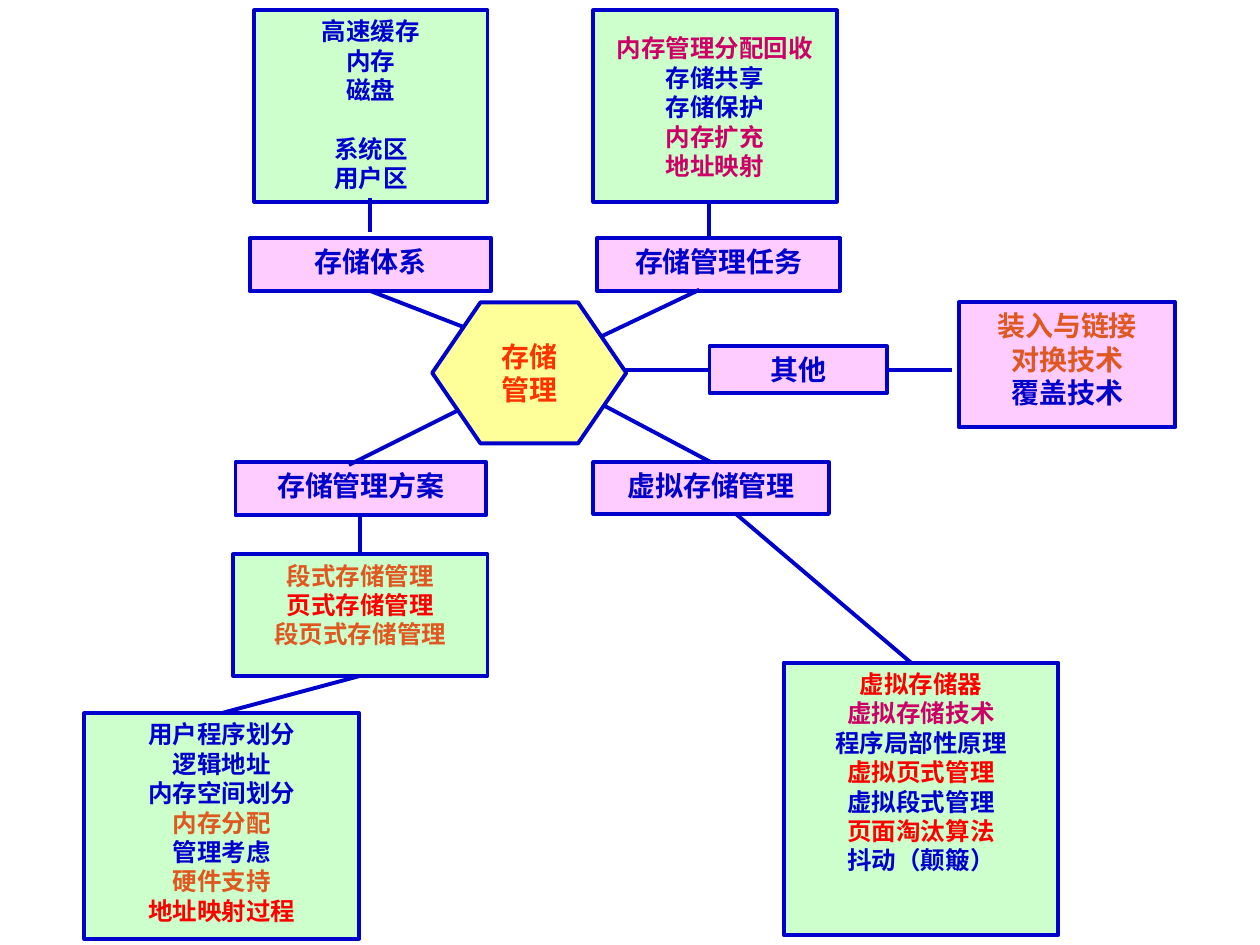
"""Build a mind map slide about storage management in operating systems."""
import pptx
import pptx.dml.color
import pptx.enum.shapes
import pptx.enum.text
import pptx.oxml
import pptx.util

Pt = pptx.util.Pt
RGBColor = pptx.dml.color.RGBColor
SHAPES = pptx.enum.shapes.MSO_SHAPE
ANCHORS = pptx.enum.text.MSO_ANCHOR

BLUE = RGBColor(0x00, 0x00, 0xCC)
RED = RGBColor(0xFF, 0x00, 0x00)
ORANGE = RGBColor(0xDF, 0x57, 0x21)
MAGENTA = RGBColor(0xCC, 0x00, 0x66)
SCARLET = RGBColor(0xFF, 0x33, 0x00)
GREEN_FILL = RGBColor(0xCC, 0xFF, 0xCC)
PINK_FILL = RGBColor(0xFF, 0xCC, 0xFF)
YELLOW_FILL = RGBColor(0xFF, 0xFF, 0x99)
LINE_WIDTH = Pt(2.25)
TOP, LEFT, BOTTOM, RIGHT = range(4)

presentation = pptx.Presentation()
presentation.slide_width = Pt(720)
presentation.slide_height = Pt(540)
slide = presentation.slides.add_slide(presentation.slide_layouts[6])


def add_box(lines, place, fill=GREEN_FILL, size=14, font="Times New Roman", kind=SHAPES.RECTANGLE,
            anchor=ANCHORS.TOP, wrap=True, top_inset=3.6, gap_before=None):
    """Add an outlined shape with one centred paragraph per (text, colour) pair."""
    shape = slide.shapes.add_shape(kind, *[Pt(length) for length in place])
    shape.shadow.inherit = False
    shape.fill.solid()
    shape.fill.fore_color.rgb = fill
    shape.line.color.rgb = BLUE
    shape.line.width = LINE_WIDTH
    frame = shape.text_frame
    frame.word_wrap = wrap
    frame.vertical_anchor = anchor
    frame.margin_left = frame.margin_right = Pt(7.2)
    frame.margin_top, frame.margin_bottom = Pt(top_inset), Pt(3.6)
    for index, (text, colour) in enumerate(lines):
        paragraph = frame.add_paragraph() if index else frame.paragraphs[0]
        paragraph.alignment = pptx.enum.text.PP_ALIGN.CENTER
        if text == gap_before:
            paragraph.space_before = Pt(16.8)
        run = paragraph.add_run()
        run.text = text
        run.font.name = font
        run.font.size = Pt(size)
        run.font.bold = True
        run.font.color.rgb = colour
    return shape


def add_line(start, end):
    """Join two ends, each a point (x, y) or a (shape, side) pair."""
    points = [(0, 0) if hasattr(target[0], "shape_id") else target for target in (start, end)]
    line = slide.shapes.add_connector(
        pptx.enum.shapes.MSO_CONNECTOR.STRAIGHT, *[Pt(value) for point in points for value in point])
    for target, connect in ((start, line.begin_connect), (end, line.end_connect)):
        if hasattr(target[0], "shape_id"):
            connect(*target)
    line.line.color.rgb = BLUE
    line.line.width = LINE_WIDTH
    properties = line.element.spPr
    properties.append(pptx.oxml.parse_xml(
        '<a:effectLst xmlns:a="http://schemas.openxmlformats.org/drawingml/2006/main"/>'))


scheme_list = add_box(
    [("段式存储管理", ORANGE), ("页式存储管理", RED), ("段页式存储管理", ORANGE)],
    (133.2, 316.8, 145.4, 69.4))
add_box(
    [("虚拟存储器", RED), ("虚拟存储技术", MAGENTA), ("程序局部性原理", BLUE),
     ("虚拟页式管理", RED), ("虚拟段式管理", BLUE), ("页面淘汰算法", RED),
     ("抖动（颠簸）", BLUE)],
    (447.8, 378.7, 157, 155.5))
partition_list = add_box(
    [("用户程序划分", BLUE), ("逻辑地址", BLUE), ("内存空间划分", BLUE),
     ("内存分配", ORANGE), ("管理考虑", BLUE), ("硬件支持", ORANGE),
     ("地址映射过程", RED)],
    (48.2, 407.5, 157, 128.9))
add_box(
    [("装入与链接", ORANGE), ("对换技术", ORANGE), ("覆盖技术", BLUE)],
    (547.9, 172.8, 123.8, 71.3), fill=PINK_FILL, size=16)

add_line((405.4, 280.8), (520.6, 378.7))
add_line((205.9, 282.2), (scheme_list, TOP))
add_line((partition_list, TOP), (scheme_list, BOTTOM))

add_box(
    [("高速缓存", BLUE), ("内存", BLUE), ("磁盘", BLUE), ("系统区", BLUE), ("用户区", BLUE)],
    (145.4, 5.8, 133.2, 109.4), gap_before="系统区")
add_box(
    [("内存管理分配回收", MAGENTA), ("存储共享", BLUE), ("存储保护", BLUE),
     ("内存扩充", MAGENTA), ("地址映射", MAGENTA)],
    (339.1, 5.8, 139, 109.4), top_inset=13.3)

topics = {}
for topic, place in (
    ("存储体系", (142.6, 136.1, 138.2, 30.2)),
    ("存储管理任务", (341.3, 136.1, 139, 30.2)),
    ("存储管理方案", (134.6, 264.2, 143.3, 30.2)),
    ("虚拟存储管理", (339.1, 264.2, 134.6, 29.5)),
    ("其他", (405.4, 198, 101.5, 26.6)),
):
    topics[topic] = add_box([(topic, BLUE)], place, fill=PINK_FILL, size=16)

for start, end in (
    ((topics["存储体系"], BOTTOM), (284.4, 194.4)),
    ((399.6, 165.6), (339.1, 194.4)),
    ((199.4, 265.7), (284.4, 223.2)),
    ((topics["虚拟存储管理"], TOP), (341.3, 229.7)),
    ((350.6, 211.3), (topics["其他"], LEFT)),
    ((211.7, 113), (211.7, 132.5)),
    ((405.4, 114.5), (405.4, 136.1)),
    ((topics["其他"], RIGHT), (544.3, 211.3)),
):
    add_line(start, end)

center = add_box(
    [("存储", SCARLET), ("管理", SCARLET)], (247, 172.8, 110.9, 80.6), fill=YELLOW_FILL,
    size=16, font="Arial", kind=SHAPES.HEXAGON, anchor=ANCHORS.MIDDLE, wrap=False)
center.adjustments[0] = 0.342

presentation.save("out.pptx")
